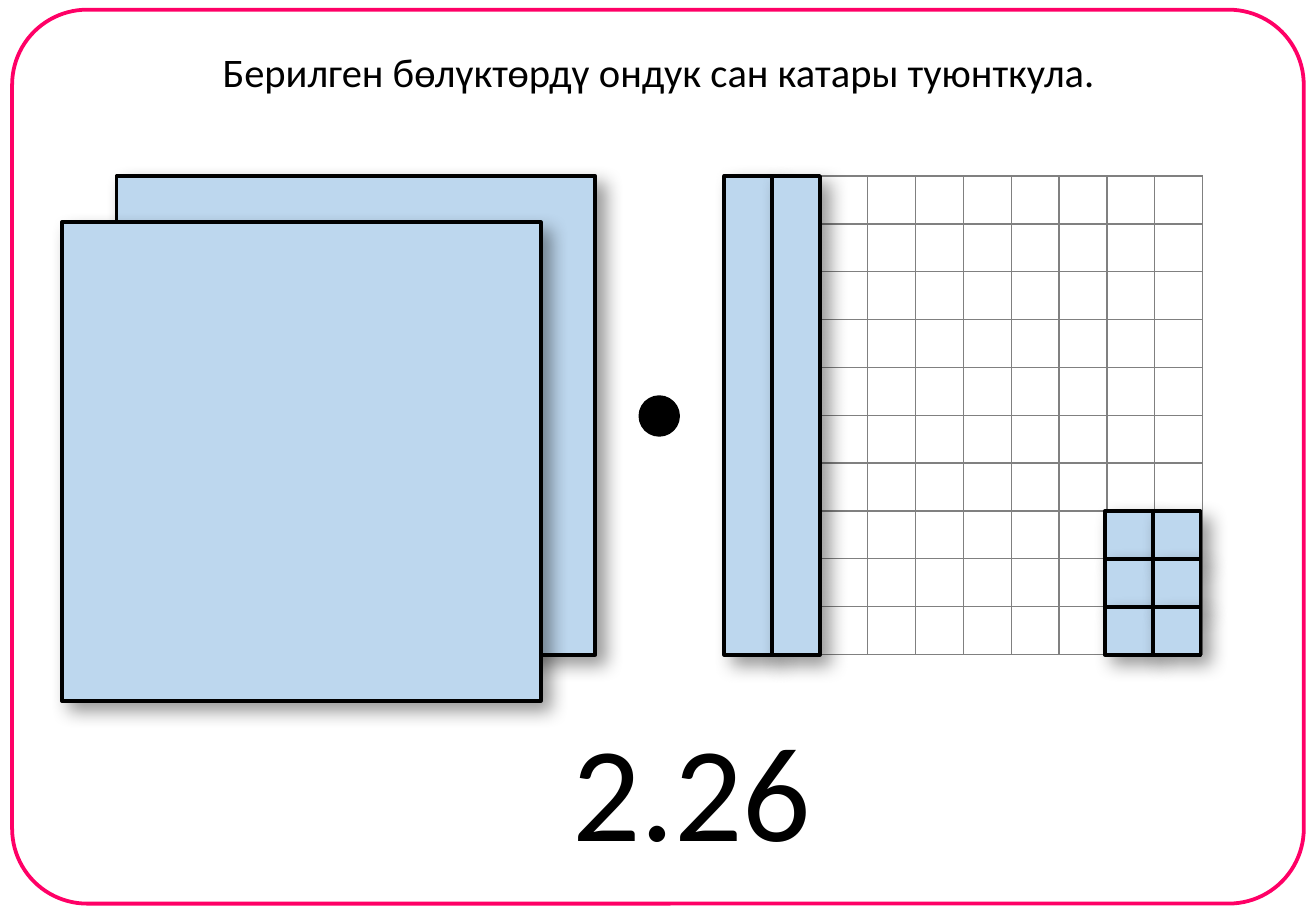
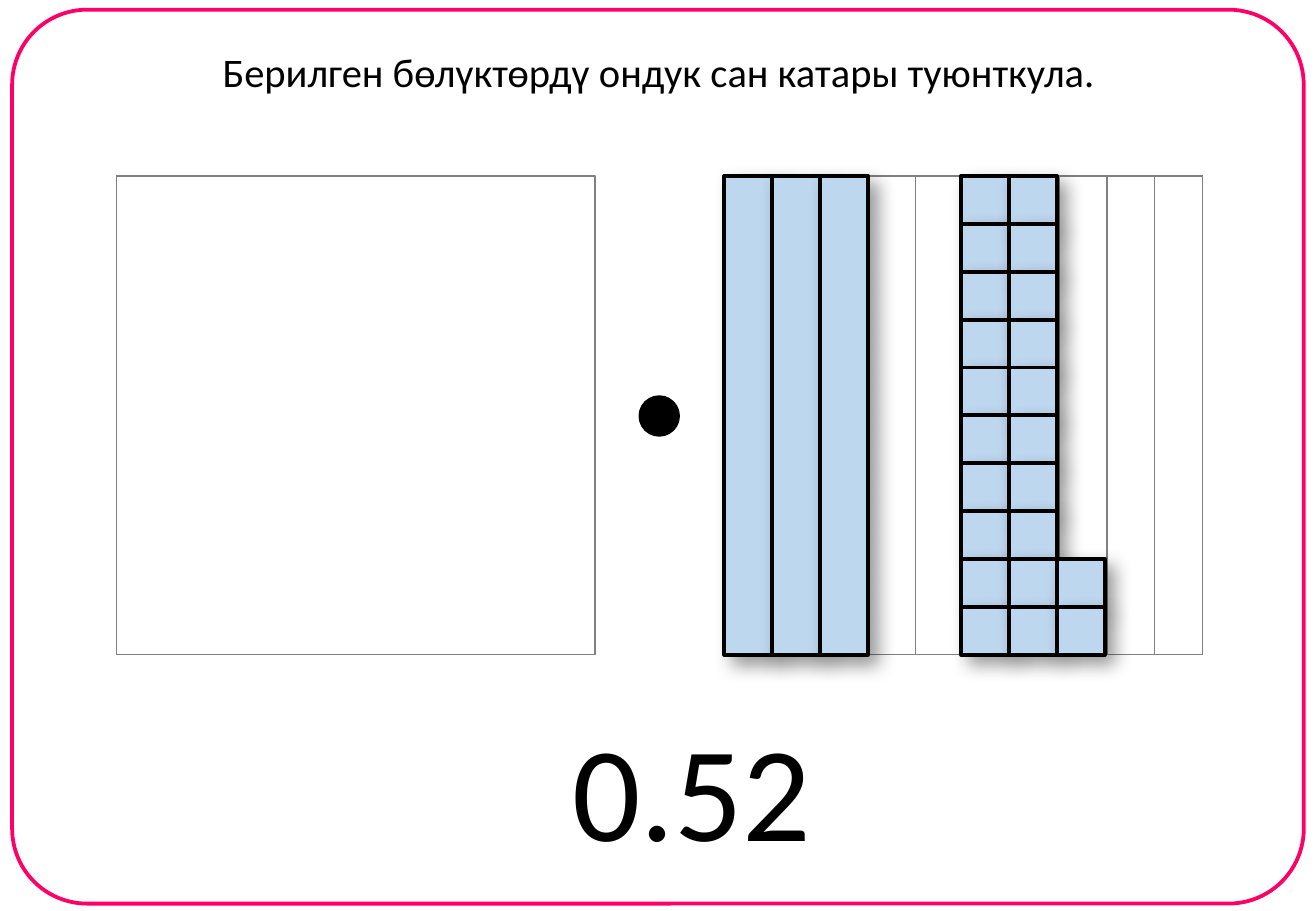
from itertools import product

from lxml.etree import SubElement
from pptx import Presentation
from pptx.dml.color import RGBColor
from pptx.enum.shapes import MSO_SHAPE
from pptx.enum.text import MSO_AUTO_SIZE, PP_ALIGN
from pptx.oxml.ns import qn
from pptx.util import Inches, Pt

THEME = {
    "white": RGBColor.from_string("FFFFFF"),
    "ink": RGBColor.from_string("000000"),
    "grid": RGBColor.from_string("808080"),
    "block": RGBColor.from_string("BDD7EE"),
    "frame": RGBColor.from_string("FF0066"),
    "font": "Calibri",
    "title_size": Pt(24),
    "answer_size": Pt(80),
    "thin": Pt(1),
    "thick": Pt(2.25),
    "shadow": {"blurRad": Pt(11), "dist": Pt(7), "dir": 45 * 60000},
    "shadow_alpha": 40,
}
TITLE = "Берилген бөлүктөрдү ондук сан катары туюнткула."

PARTS = 10
WHOLE = 3.94
UNIT = WHOLE / PARTS
TOP = 1.45
WHOLE_LEFT = 0.96
GRID_LEFT = 5.96
UNITS_LEFT = 5.94

BLOCK = {"fill": "block", "line": "ink", "width": "thick", "shadow": True}
OUTLINE = {"fill": "white", "line": "grid", "width": "thin"}
POINT = {"fill": "ink", "line": "ink", "width": "thick"}
FRAME = {"fill": None, "line": "frame", "width": "thick"}

# Hundredths are (column, row) places counted from the grid's top left.
CARDS = [
    {
        "answer": "2.26",
        "whole_style": BLOCK,
        "wholes": [(WHOLE_LEFT, TOP), (0.51, 1.83)],
        "tenths": 2,
        "hundredths": list(product((8, 9), range(7, PARTS))),
        "merged_columns": [],
    },
    {
        "answer": "0.52",
        "whole_style": OUTLINE,
        "wholes": [(WHOLE_LEFT, TOP)],
        "tenths": 3,
        "hundredths": [*product((5, 6), range(PARTS)), (7, 8), (7, 9)],
        "merged_columns": range(2, PARTS),
    },
]


def draw(slide, preset, box, style):
    """Add a preset shape at box (left, top, width, height in inches)."""
    shape = slide.shapes.add_shape(preset, *map(Inches, box))
    shape.shadow.inherit = False
    if style["fill"]:
        shape.fill.solid()
        shape.fill.fore_color.rgb = THEME[style["fill"]]
    else:
        shape.fill.background()
    shape.line.color.rgb = THEME[style["line"]]
    shape.line.width = THEME[style["width"]]
    if style.get("shadow"):
        effects = shape._element.spPr.find(qn("a:effectLst"))
        outer = SubElement(effects, qn("a:outerShdw"), algn="tl", rotWithShape="0")
        for key, value in THEME["shadow"].items():
            outer.set(key, str(value))
        color = SubElement(outer, qn("a:srgbClr"), val=str(THEME["ink"]))
        SubElement(color, qn("a:alpha"), val=str(THEME["shadow_alpha"] * 1000))
    return shape


def write(slide, text, box, size):
    """Add one centred line of text that does not wrap."""
    frame = slide.shapes.add_textbox(*map(Inches, box)).text_frame
    frame.word_wrap = False
    frame.auto_size = MSO_AUTO_SIZE.SHAPE_TO_FIT_TEXT
    paragraph = frame.paragraphs[0]
    paragraph.alignment = PP_ALIGN.CENTER
    run = paragraph.add_run()
    run.text = text
    for key, value in {"name": THEME["font"], "size": size}.items():
        setattr(run.font, key, value)
    run.font.color.rgb = THEME["ink"]


deck = Presentation()
deck.slide_width, deck.slide_height = Inches(10.83), Inches(7.5)

for card in CARDS:
    slide = deck.slides.add_slide(deck.slide_layouts[6])

    border = draw(slide, MSO_SHAPE.ROUNDED_RECTANGLE, (0.1, 0.08, 10.63, 7.36), FRAME)
    border.adjustments[0] = 0.084
    write(slide, TITLE, (1.69, 0.34, 7.46, 0.5), THEME["title_size"])

    grid = slide.shapes.add_table(
        PARTS, PARTS, Inches(GRID_LEFT), Inches(TOP), Inches(WHOLE), Inches(WHOLE)
    ).table
    grid.first_row = grid.horz_banding = False
    for cell in grid.iter_cells():
        for side in ("left", "right", "top", "bottom"):
            setattr(cell, f"margin_{side}", 0)
        properties = cell._tc.get_or_add_tcPr()
        for edge in ("lnL", "lnR", "lnT", "lnB"):
            rule = SubElement(properties, qn(f"a:{edge}"), w=str(THEME["thin"]))
            ink = SubElement(rule, qn("a:solidFill"))
            SubElement(ink, qn("a:srgbClr"), val=str(THEME["grid"]))
        cell.fill.solid()
        cell.fill.fore_color.rgb = THEME["white"]
    for column in card["merged_columns"]:
        grid.cell(0, column).merge(grid.cell(PARTS - 1, column))

    for left, top in card["wholes"]:
        draw(slide, MSO_SHAPE.RECTANGLE, (left, top, WHOLE, WHOLE), card["whole_style"])
    for column in range(card["tenths"]):
        left = GRID_LEFT + column * UNIT
        draw(slide, MSO_SHAPE.RECTANGLE, (left, TOP, UNIT, WHOLE), BLOCK)
    for column, row in card["hundredths"]:
        left, top = UNITS_LEFT + column * UNIT, TOP + row * UNIT
        draw(slide, MSO_SHAPE.RECTANGLE, (left, top, UNIT, UNIT), BLOCK)

    draw(slide, MSO_SHAPE.OVAL, (5.27, 3.27, 0.31, 0.31), POINT)
    write(slide, card["answer"], (4.6, 5.77, 2.19, 1.45), THEME["answer_size"])

deck.save("out.pptx")
